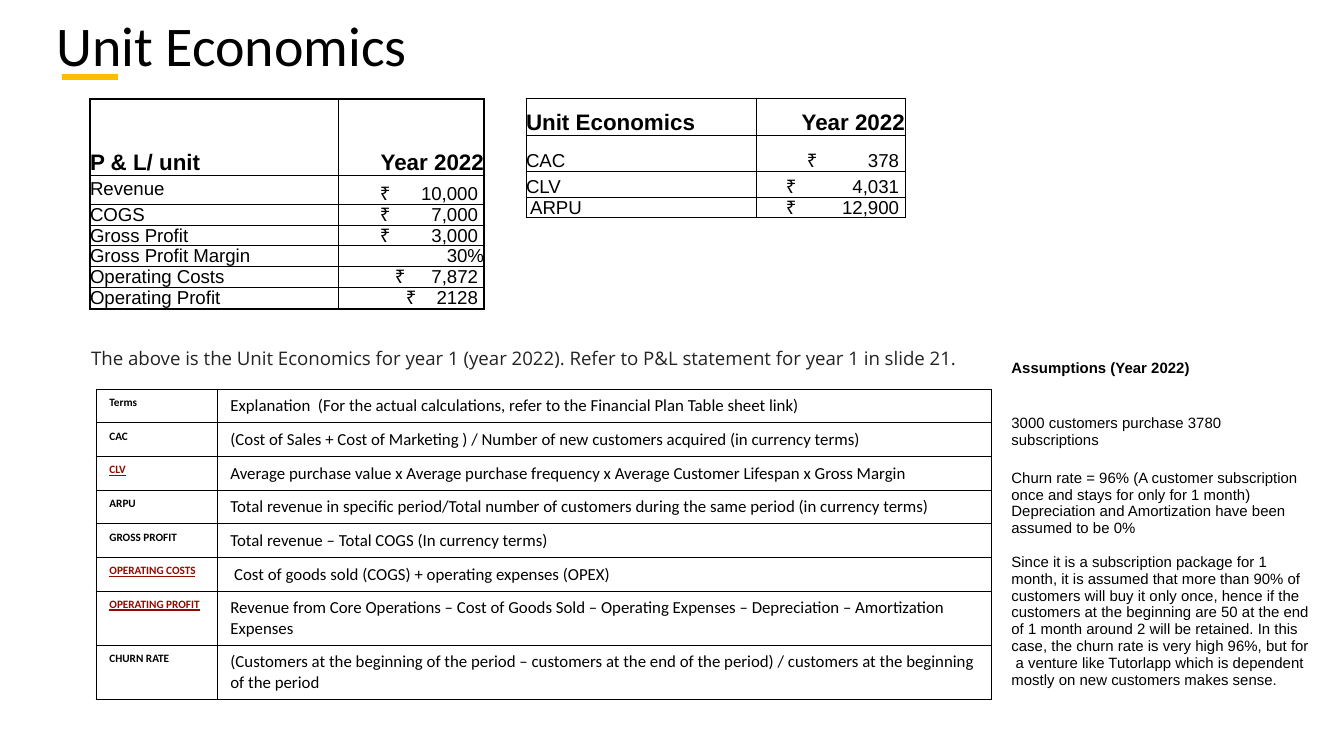
from lxml import etree
from pptx import Presentation
from pptx.dml.color import RGBColor
from pptx.enum.shapes import MSO_SHAPE
from pptx.enum.text import MSO_ANCHOR, PP_ALIGN
from pptx.oxml.ns import qn
from pptx.util import Emu, Pt

RECT = MSO_SHAPE.RECTANGLE
TOP, MIDDLE, BOTTOM = MSO_ANCHOR.TOP, MSO_ANCHOR.MIDDLE, MSO_ANCHOR.BOTTOM
LEFT, RIGHT, JUSTIFY = PP_ALIGN.LEFT, PP_ALIGN.RIGHT, PP_ALIGN.JUSTIFY

BLACK = RGBColor(0x00, 0x00, 0x00)
WHITE = RGBColor(0xFF, 0xFF, 0xFF)
GREY = RGBColor(0x24, 0x24, 0x24)
YELLOW = RGBColor(0xFA, 0xBE, 0x00)
RED = RGBColor(0x90, 0x0A, 0x00)

PROFIT_ROWS = [
    ("Revenue", 42, "10,000"),
    ("COGS", 42, "7,000"),
    ("Gross Profit", 42, "3,000"),
    ("Gross Profit Margin", None, "30%"),
    ("Operating Costs", 57, "7,872"),
    ("Operating Profit", 68, "2128"),
]
UNIT_ROWS = [("CAC", 51, "378"), ("CLV", 30, "4,031"), (" ARPU", 30, "12,900")]
TERMS = [
    ("Terms", "Explanation  (For the actual calculations, refer to the Financial Plan Table sheet link)"),
    ("CAC", "(Cost of Sales + Cost of Marketing ) / Number of new customers acquired (in currency terms)"),
    ("CLV", "Average purchase value x Average purchase frequency x Average Customer Lifespan x Gross Margin"),
    ("ARPU", "Total revenue in specific period/Total number of customers during the same period (in currency terms)"),
    ("GROSS PROFIT", "Total revenue – Total COGS (In currency terms)"),
    ("OPERATING COSTS", " Cost of goods sold (COGS) + operating expenses (OPEX)"),
    ("OPERATING PROFIT", "Revenue from Core Operations – Cost of Goods Sold – Operating Expenses "
     "– Depreciation – Amortization Expenses"),
    ("CHURN RATE", "(Customers at the beginning of the period – customers at the end of the period) / "
     "customers at the beginning of the period"),
]
LINKED_TERMS = {"CLV", "OPERATING COSTS", "OPERATING PROFIT"}
ASSUMPTIONS = [
    "Assumptions (Year 2022)",
    "3000 customers purchase 3780 subscriptions",
    "Churn rate = 96% (A customer subscription once and stays for only for 1 month)\n"
    "Depreciation and Amortization have been assumed to be 0%\n"
    "Since it is a subscription package for 1 month, it is assumed that more than 90% of customers "
    "will buy it only once, hence if the customers at the beginning are 50 at the end of 1 month "
    "around 2 will be retained. In this case, the churn rate is very high 96%, but for  a venture "
    "like Tutorlapp which is dependent mostly on new customers makes sense.",
]


def px(n):
    """Turn pixels into EMU."""
    return Emu(round(n * 914400 / 134.4))


def write(tf, text, font, size, color=BLACK, bold=False, underline=False, align=LEFT):
    """Fill a text frame and format all its runs."""
    tf.text = text
    for p in tf.paragraphs:
        p.alignment = align
        for r in p.runs:
            f = r.font
            f.name, f.size, f.bold, f.underline = font, Pt(size), bold, underline
            f.color.rgb = color


def add_text(s, box, text, font, size, color):
    """Add a wrapped text box."""
    tf = s.shapes.add_textbox(*map(px, box)).text_frame
    tf.word_wrap = True
    write(tf, text, font, size, color)


def set_borders(cell, color, widths):
    """Draw the left, right, top and bottom borders of a cell."""
    tcPr = cell._tc.get_or_add_tcPr()
    for i, (side, width) in enumerate(zip("LRTB", widths)):
        ln = etree.Element(qn(f"a:ln{side}"), w=str(Pt(width)))
        fill = etree.SubElement(ln, qn("a:solidFill"))
        etree.SubElement(fill, qn("a:srgbClr"), val=str(color))
        tcPr.insert(i, ln)


def add_grid(s, left, top, cols, rows, color=BLACK, inner=0.5, outer=0.5):
    """Add an unfilled table with ruled cells."""
    shape = s.shapes.add_table(len(rows), len(cols), px(left), px(top), px(sum(cols)), px(sum(rows)))
    table = shape.table
    table.first_row = table.horz_banding = False
    for col, width in zip(table.columns, cols):
        col.width = px(width)
    for i, height in enumerate(rows):
        table.rows[i].height = px(height)
        for j in range(len(cols)):
            cell = table.cell(i, j)
            cell.fill.background()
            edges = (j == 0, j == len(cols) - 1, i == 0, i == len(rows) - 1)
            set_borders(cell, color, [outer if edge else inner for edge in edges])
    return table


def set_tabs(p, stops):
    """Give a paragraph tab stops as pairs of alignment and pixels."""
    tabs = etree.SubElement(p._p.get_or_add_pPr(), qn("a:tabLst"))
    for algn, pos in stops:
        etree.SubElement(tabs, qn("a:tab"), pos=str(px(pos)), algn=algn)


def money_table(s, left, top, cols, heights, title, rows, outer):
    """Add a table of labels and rupee amounts."""
    table = add_grid(s, left, top, cols, heights, outer=outer)
    for i, (label, sign_x, amount) in enumerate([(title, None, "Year 2022")] + rows):
        size, bold = (12, True) if i == 0 else (10, False)
        name, value = table.cell(i, 0), table.cell(i, 1)
        write(name.text_frame, label, "Arial", size, bold=bold)
        if sign_x is None:
            write(value.text_frame, amount, "Arial", size, bold=bold, align=RIGHT)
        else:
            write(value.text_frame, f"\t₹\t{amount}", "Arial", size)
        for cell in (name, value):
            cell.margin_left = cell.margin_right = cell.margin_top = cell.margin_bottom = 0
            cell.vertical_anchor = BOTTOM
            cell.text_frame.paragraphs[0].line_spacing = 0.93
        if label == "Revenue":
            name.vertical_anchor = MIDDLE
        if sign_x is not None:
            set_tabs(value.text_frame.paragraphs[0], [("l", sign_x), ("r", cols[1] - 6)])


def terms_table(s, left, top):
    """Add the table that explains each term."""
    table = add_grid(s, left, top, [121, 775], [33] * 6 + [54] * 2)
    for i, (term, meaning) in enumerate(TERMS):
        linked = term in LINKED_TERMS
        write(table.cell(i, 0).text_frame, term, "Calibri", 6, RED if linked else BLACK, True, linked)
        write(table.cell(i, 1).text_frame, meaning, "Calibri", 9)


def assumptions_table(s, left, top):
    """Add the column of assumptions."""
    table = add_grid(s, left, top, [328], [55, 55, 264], WHITE, 1, 1)
    for i, text in enumerate(ASSUMPTIONS):
        cell = table.cell(i, 0)
        cell.vertical_anchor = TOP
        write(cell.text_frame, text, "Arial", 8, bold=i == 0, align=JUSTIFY if i == 0 else LEFT)
    cell.text_frame.paragraphs[-1].space_before = Pt(9)


def heading(s, left, top):
    """Add the title and its accent bar."""
    add_text(s, (left, top, 1125, 54), "Unit Economics", "Calibri", 30, BLACK)
    bar = s.shapes.add_shape(RECT, px(left + 19), px(top + 70), px(56), px(6))
    bar.shadow.inherit = False
    bar.fill.solid()
    bar.fill.fore_color.rgb = YELLOW
    bar.line.fill.background()


def main():
    """Build and save the slide."""
    prs = Presentation()
    prs.slide_width, prs.slide_height = px(1344), px(756)
    s = prs.slides.add_slide(prs.slide_layouts[6])
    heading(s, 43, 4)
    money_table(s, 90, 99, [248, 146], [76, 29] + [21] * 5, "P & L/ unit", PROFIT_ROWS, 1)
    money_table(s, 526, 98, [230, 149], [37, 36, 26, 21], "Unit Economics", UNIT_ROWS, 0.5)
    add_text(s, (78, 340, 1157, 36),
             "The above is the Unit Economics for year 1 (year 2022). "
             "Refer to P&L statement for year 1 in slide 21.", "Open Sans", 10, GREY)
    terms_table(s, 96, 389)
    assumptions_table(s, 998, 353)
    prs.save("out.pptx")


if __name__ == "__main__":
    main()
